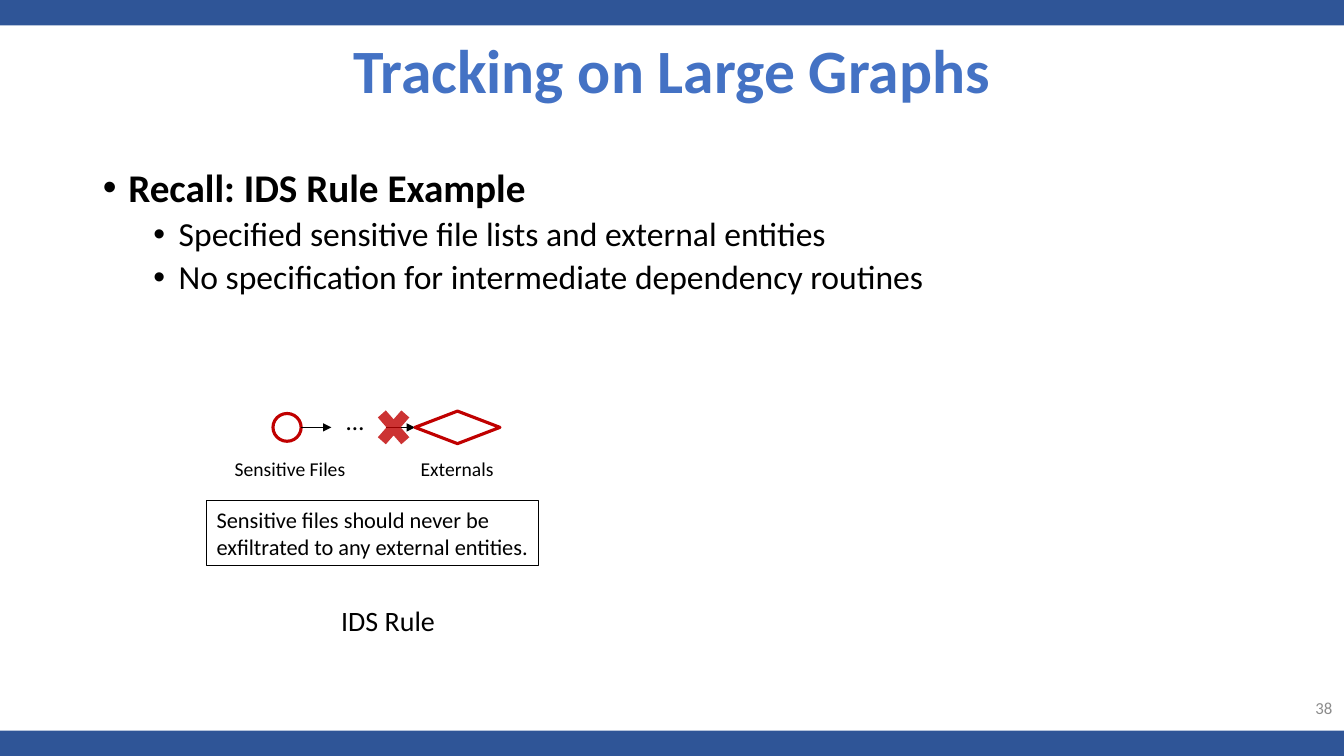
from lxml import etree
from pptx import Presentation
from pptx.dml.color import RGBColor
from pptx.enum.shapes import MSO_CONNECTOR, MSO_SHAPE as SHAPE
from pptx.enum.text import MSO_ANCHOR as ANCHOR, PP_ALIGN as ALIGN
from pptx.oxml.ns import qn
from pptx.util import Cm, Pt

WIDTH, HEIGHT = 33.87, 19.05
BAR = 0.64
FONT = "Calibri"
BLACK = RGBColor(0x00, 0x00, 0x00)
NAVY = RGBColor(0x2F, 0x55, 0x97)
BLUE = RGBColor(0x44, 0x72, 0xC4)
RED = RGBColor(0xC0, 0x00, 0x00)
GRAY = RGBColor(0x8C, 0x8C, 0x8C)

BULLETS = [
    (0, "Recall: IDS Rule Example"),
    (1, "Specified sensitive file lists and external entities"),
    (1, "No specification for intermediate dependency routines"),
]


def place(sp, x, y, w, h):
    sp.left, sp.top, sp.width, sp.height = Cm(x), Cm(y), Cm(w), Cm(h)


def style(p, size, color=BLACK, bold=False, align=None):
    p.font.name, p.font.size, p.font.bold = FONT, Pt(size), bold
    p.font.color.rgb = color
    p.alignment = align


def add_text(slide, text, x, y, w, h, size, color=BLACK, align=ALIGN.CENTER):
    tf = slide.shapes.add_textbox(Cm(x), Cm(y), Cm(w), Cm(h)).text_frame
    tf.word_wrap = True
    tf.text = text
    style(tf.paragraphs[0], size, color, align=align)
    return tf


def add_shape(slide, kind, x, y, w, h, fill=None, line=None, weight=2.25):
    sp = slide.shapes.add_shape(kind, Cm(x), Cm(y), Cm(w), Cm(h))
    sp.shadow.inherit = False
    if fill is None:
        sp.fill.background()
    else:
        sp.fill.solid()
        sp.fill.fore_color.rgb = fill
    if line is None:
        sp.line.fill.background()
    else:
        sp.line.color.rgb = line
        sp.line.width = Pt(weight)
    return sp


def add_arrow(slide, x1, x2, y):
    arrow = slide.shapes.add_connector(
        MSO_CONNECTOR.STRAIGHT, Cm(x1), Cm(y), Cm(x2), Cm(y))
    arrow.line.color.rgb = BLACK
    arrow.line.width = Pt(1)
    etree.SubElement(arrow.line._get_or_add_ln(), qn("a:tailEnd"), type="triangle")
    etree.SubElement(arrow._element.spPr, qn("a:effectLst"))


def add_bars(slide):
    for y in (HEIGHT - BAR, 0):
        add_shape(slide, SHAPE.RECTANGLE, 0, y, WIDTH, BAR, fill=NAVY)


def fill_title(title, text, x, y, w, h):
    place(title, x, y, w, h)
    tf = title.text_frame
    tf.text = text
    tf.vertical_anchor = ANCHOR.MIDDLE
    p = tf.paragraphs[0]
    style(p, 44, BLUE, bold=True, align=ALIGN.CENTER)
    p.line_spacing = 0.9


def fill_body(body, items, x, y, w, h):
    place(body, x, y, w, h)
    tf = body.text_frame
    tf.text = "\n".join(text for _, text in items)
    for p, (level, _) in zip(tf.paragraphs, items):
        top = level == 0
        style(p, 28 if top else 24, bold=top)
        p.level = level
        p.line_spacing = 0.9
        p.space_before = Pt(10 if top else 5)
        pPr = p._p.get_or_add_pPr()
        pPr.set("marL", str(Cm(0.64 + 1.27 * level)))
        pPr.set("indent", str(-Cm(0.64)))
        bullet = etree.Element(qn("a:buChar"), char="•")
        pPr.find(qn("a:spcBef")).addnext(bullet)


def add_rule_diagram(slide, x, y, w):
    """Draw the blocked file-to-external flow in a box of width w at (x, y)."""
    axis = y + 0.69

    rule = add_shape(slide, SHAPE.RECTANGLE, x, y + 2.54, w, 1.63,
                     line=BLACK, weight=0.75)
    rule.text_frame.word_wrap = True
    rule.text_frame.text = ("Sensitive files should never be "
                            "exfiltrated to any external entities.")
    style(rule.text_frame.paragraphs[0], 16, align=ALIGN.LEFT)

    add_shape(slide, SHAPE.OVAL, x + 1.67, axis - 0.35, 0.71, 0.7, line=RED)
    add_arrow(slide, x + 2.38, x + 3.14, axis)
    add_text(slide, "…", x + 3.27, y, 1.3, 1.02, 18, align=ALIGN.LEFT)
    add_arrow(slide, x + 4.51, x + 5.25, axis)

    cross = add_shape(slide, SHAPE.MATH_MULTIPLY, x + 4.14, axis - 0.65,
                      1.14, 1.3, fill=RED)
    color = cross._element.spPr.find(qn("a:solidFill"))[0]
    etree.SubElement(color, qn("a:alpha"), val="80000")

    for dx, label in ((0.08, "Sensitive Files"), (4.29, "Externals")):
        add_text(slide, label, x + dx, y + 1.3, 4.04, 0.86, 14)
    add_shape(slide, SHAPE.FLOWCHART_DECISION, x + 5.25, axis - 0.41,
              2.14, 0.82, line=RED)
    add_text(slide, "IDS Rule", x - 1.78, y + 5.01, 12.7, 1.12, 20)


def add_page_number(slide, number, x, y, w, h):
    tf = add_text(slide, number, x, y, w, h, 12, GRAY, ALIGN.RIGHT)
    tf.vertical_anchor = ANCHOR.MIDDLE


def main():
    prs = Presentation()
    prs.slide_width, prs.slide_height = Cm(WIDTH), Cm(HEIGHT)
    slide = prs.slides.add_slide(prs.slide_layouts[1])
    add_bars(slide)
    fill_title(slide.shapes.title, "Tracking on Large Graphs", 0, 0, WIDTH, 3.71)
    fill_body(slide.placeholders[1], BULLETS, 2.34, 4.11, 29.2, 12.4)
    add_rule_diagram(slide, 5.21, 10.08, 8.36)
    add_page_number(slide, "38", 26.21, 17.32, 7.62, 1.02)
    prs.save("out.pptx")


if __name__ == "__main__":
    main()
